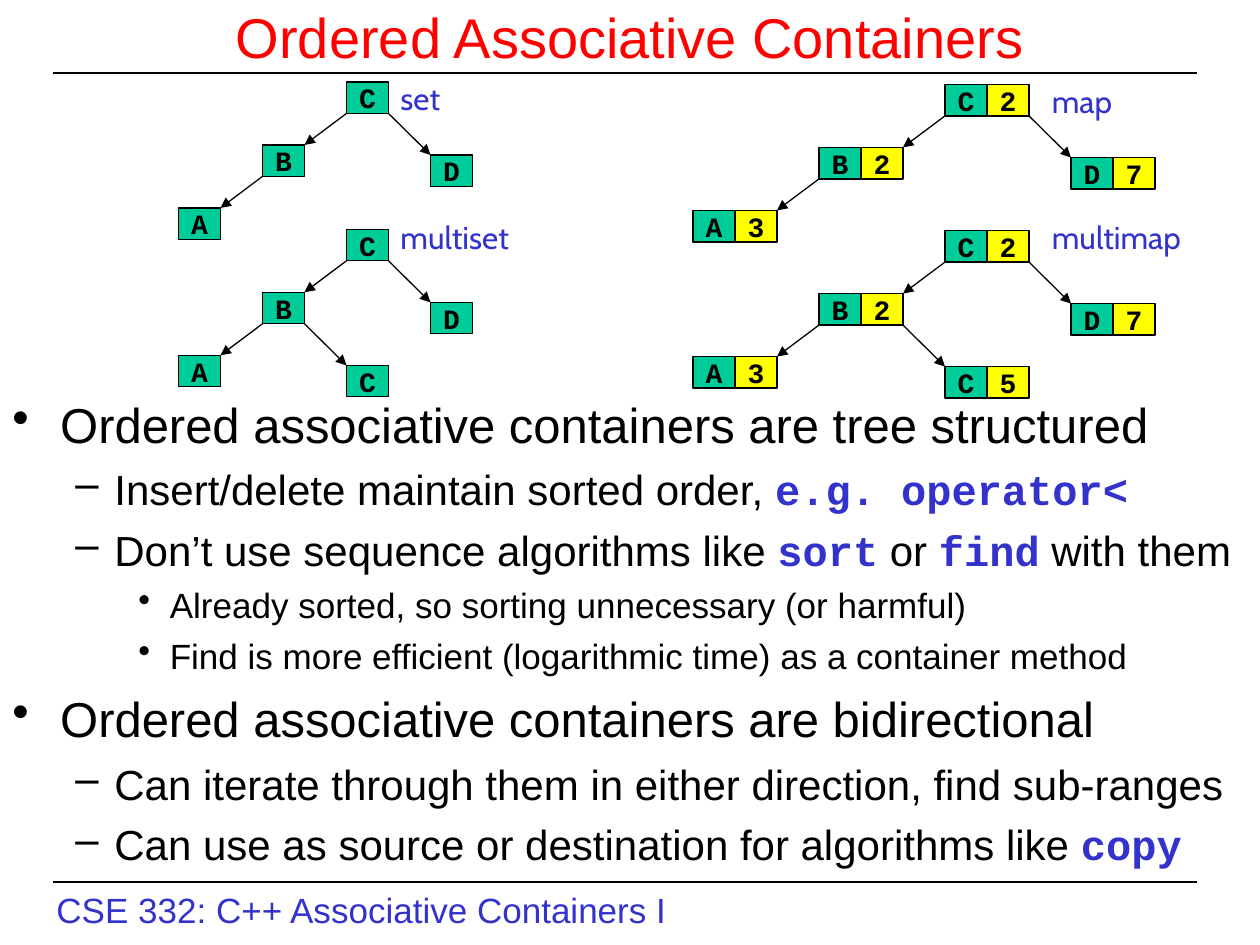
"""Build the slide on ordered associative containers and their trees."""
from dataclasses import dataclass

from lxml.etree import SubElement
from pptx import Presentation
from pptx.dml.color import RGBColor as Rgb
from pptx.enum.shapes import MSO_CONNECTOR as Connector, MSO_SHAPE as Shape
from pptx.enum.text import MSO_ANCHOR as Anchor, PP_ALIGN as Align
from pptx.oxml.ns import qn
from pptx.util import Inches, Pt


@dataclass(frozen=True)
class Theme:
    black: Rgb = Rgb(0, 0, 0)
    title_red: Rgb = Rgb(0xFF, 0, 0)
    accent_blue: Rgb = Rgb(0x33, 0x33, 0xCC)
    key_green: Rgb = Rgb(0, 0xCC, 0x99)
    value_yellow: Rgb = Rgb(0xFF, 0xFF, 0)
    body_font: str = "Arial"
    label_font: str = "Cabin"
    code_font: str = "Courier New"
    title_size: int = 32
    footer_size: int = 20
    label_size: int = 18
    cell_size: int = 16
    line_width: float = 0.75


theme = Theme()


def set_font(font, name, color, size=None, bold=False):
    font.name, font.bold = name, bold
    font.color.rgb = color
    if size:
        font.size = Pt(size)


def add_line(start, end, arrow=False):
    line = slide.shapes.add_connector(
        Connector.STRAIGHT, *(Inches(length) for length in (*start, *end)))
    line.line.color.rgb = theme.black
    line.line.width = Pt(theme.line_width)
    if arrow:
        SubElement(line.line._get_or_add_ln(), qn("a:tailEnd"), type="triangle")
    SubElement(line._element.spPr, qn("a:effectLst"))


prs = Presentation()
prs.slide_width, prs.slide_height = Inches(10), Inches(7.5)
slide = prs.slides.add_slide(prs.slide_layouts[5])

title = slide.shapes.title
title.left, title.top, title.width, title.height = 0, 0, Inches(10), Inches(0.58)
title.text_frame.text = "Ordered Associative Containers"
title.text_frame.vertical_anchor = Anchor.MIDDLE
heading = title.text_frame.paragraphs[0]
heading.alignment = Align.CENTER
set_font(heading.font, theme.body_font, theme.title_red, theme.title_size)

for rule_y in (0.58, 7):
    add_line((0.42, rule_y), (9.5, rule_y))

footer = slide.shapes.add_textbox(Inches(0.35), Inches(7), Inches(5.06), Inches(0.44))
footer.text_frame.text = "CSE 332: C++ Associative Containers I"
set_font(footer.text_frame.paragraphs[0].font, theme.body_font,
         theme.accent_blue, theme.footer_size)

# level: (size, left margin, indent, space before, bullet)
levels = [(28, 0.38, 0.38, 7, "•"), (24, 0.81, 0.31, 6, "–"), (20, 1.25, 0.25, 5, "•")]
points = [
    (0, ["Ordered associative containers are tree structured"]),
    (1, ["Insert/delete maintain sorted order, ", "e.g. operator<"]),
    (1, ["Don’t use sequence algorithms like ", "sort", " or ", "find", " with them"]),
    (2, ["Already sorted, so sorting unnecessary (or harmful)"]),
    (2, ["Find is more efficient (logarithmic time) as a container method"]),
    (0, ["Ordered associative containers are bidirectional"]),
    (1, ["Can iterate through them in either direction, find sub-ranges"]),
    (1, ["Can use as source or destination for algorithms like ", "copy"]),
]
body = slide.shapes.add_textbox(0, Inches(3.08), Inches(10), Inches(4)).text_frame
body.word_wrap = True
for index, (level, pieces) in enumerate(points):
    size, margin, indent, space, bullet = levels[level]
    point = body.add_paragraph() if index else body.paragraphs[0]
    point.level = level
    point.space_before = Pt(space)
    properties = point._p.get_or_add_pPr()
    properties.set("marL", str(Inches(margin)))
    properties.set("indent", str(-Inches(indent)))
    SubElement(properties, qn("a:buChar"), char=bullet)
    set_font(point.font, theme.body_font, theme.black, size)
    for position, piece in enumerate(pieces):
        run = point.add_run()
        run.text = piece
        if position % 2:
            set_font(run.font, theme.code_font, theme.accent_blue, bold=True)

cell_width, cell_height = 1 / 3, 0.25
nodes = [("C", "2", 0, 0), ("B", "2", -1, 0.5), ("A", "3", -2, 1),
         ("D", "7", 1, 0.58), ("C", "5", 0, 1.08)]
edges = [(0, 1), (1, 2), (0, 3), (1, 4)]
trees = [
    ("set", 1, 4, 2.75, 0.65, (3.08, 0.58, 0.67, 0.4)),
    ("multiset", 1, 5, 2.75, 1.82, (3.08, 1.68, 1.08, 0.7)),
    ("map", 2, 4, 7.5, 0.67, (8.25, 0.6, 0.83, 0.4)),
    ("multimap", 2, 5, 7.5, 1.83, (8.25, 1.68, 1.25, 0.7)),
]
for name, cells, node_count, root_x, root_y, label_box in trees:
    label = slide.shapes.add_textbox(*(Inches(length) for length in label_box)).text_frame
    label.word_wrap = True
    label.text = name
    set_font(label.paragraphs[0].font, theme.label_font, theme.accent_blue, theme.label_size)

    node_width = cells * cell_width
    step = node_width + cell_width
    corners = [(root_x + column * step, root_y + drop)
               for _, _, column, drop in nodes[:node_count]]
    for parent, child in edges[:node_count - 1]:
        (parent_x, parent_y), (child_x, child_y) = corners[parent], corners[child]
        goes_left = child_x < parent_x
        add_line((parent_x + (0 if goes_left else node_width), parent_y + cell_height),
                 (child_x + (node_width if goes_left else 0), child_y), arrow=True)

    for (key, value, _, _), (node_x, node_y) in zip(nodes, corners):
        contents = [(key, theme.key_green), (value, theme.value_yellow)][:cells]
        for offset, (content, color) in enumerate(contents):
            cell = slide.shapes.add_shape(
                Shape.RECTANGLE, Inches(node_x + offset * cell_width), Inches(node_y),
                Inches(cell_width), Inches(cell_height))
            cell.shadow.inherit = False
            cell.fill.solid()
            cell.fill.fore_color.rgb = color
            cell.line.color.rgb = theme.black
            cell.line.width = Pt(theme.line_width)
            cell.text_frame.text = content
            cell.text_frame.word_wrap = False
            cell.text_frame.vertical_anchor = Anchor.MIDDLE
            entry = cell.text_frame.paragraphs[0]
            entry.alignment = Align.CENTER
            set_font(entry.font, theme.code_font, theme.black, theme.cell_size, bold=True)

prs.save("out.pptx")
